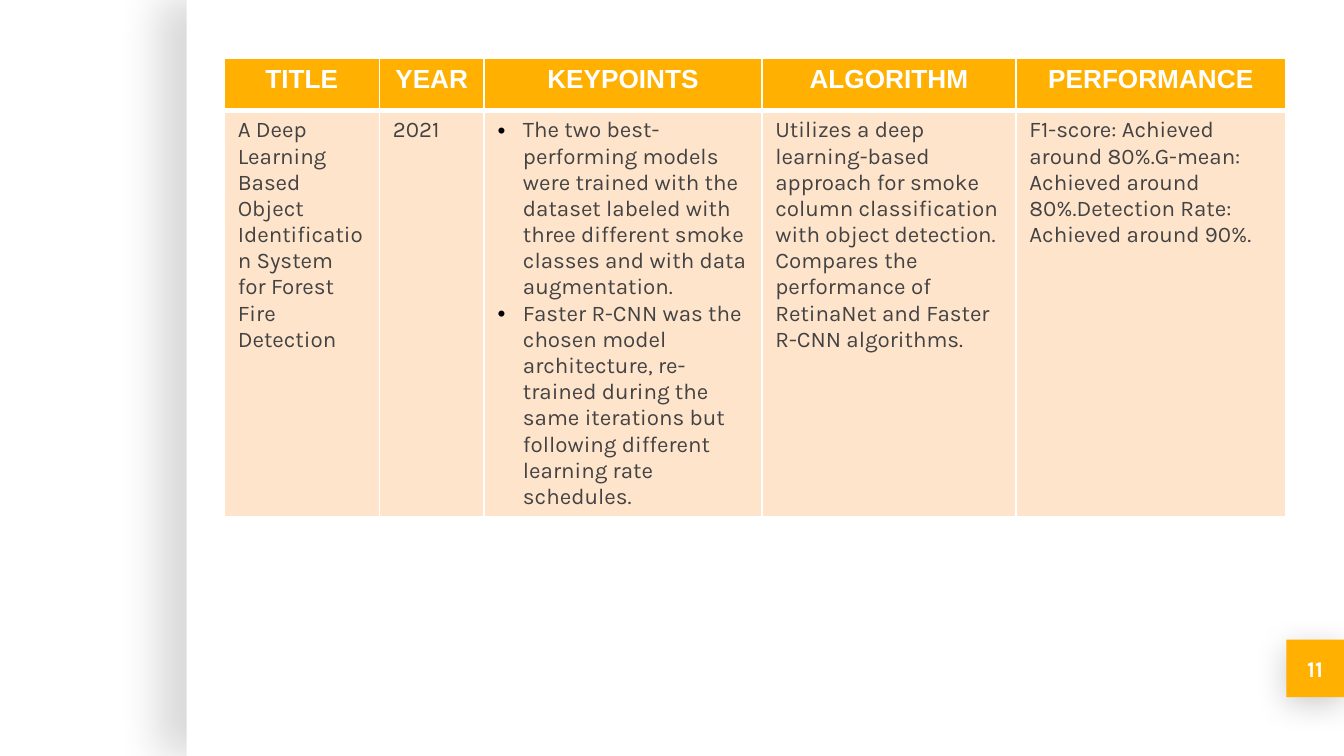
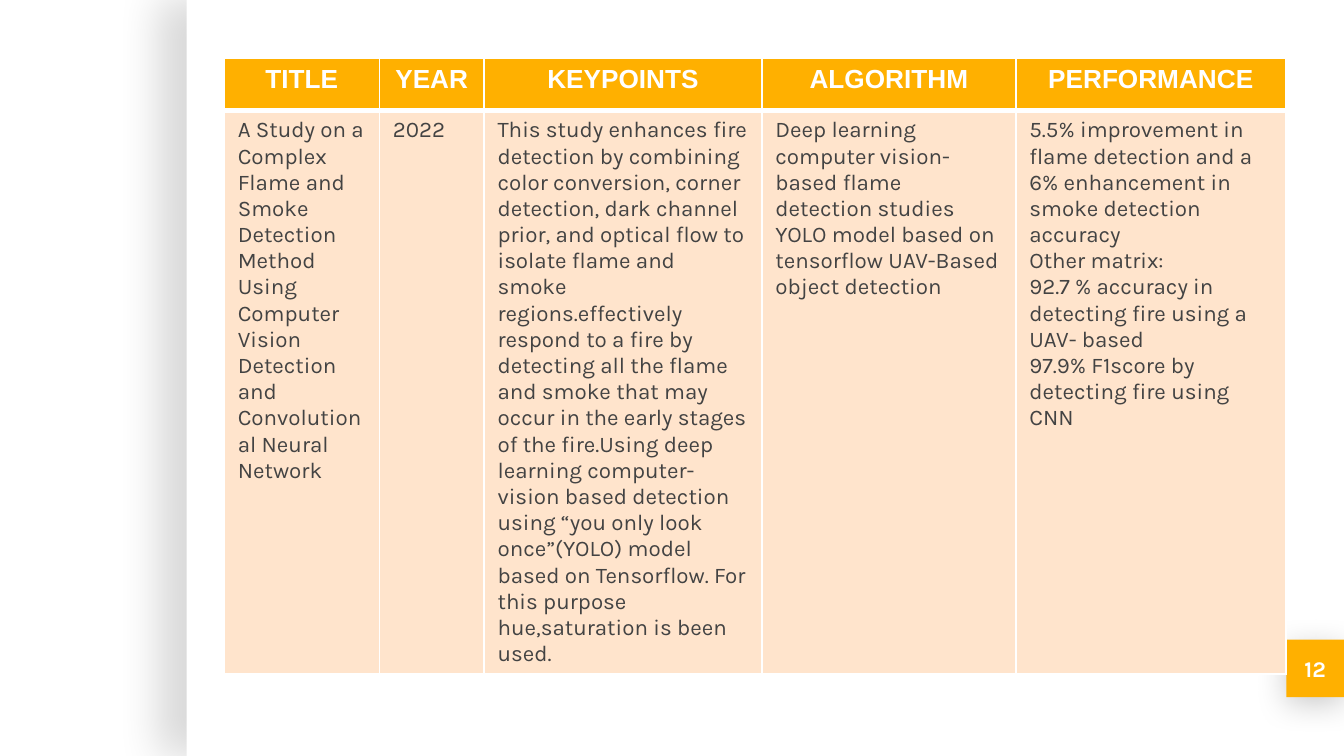
from dataclasses import dataclass

from lxml import etree
from pptx import Presentation
from pptx.dml.color import RGBColor
from pptx.enum.shapes import MSO_SHAPE
from pptx.enum.text import MSO_ANCHOR, PP_ALIGN
from pptx.oxml.ns import qn
from pptx.util import Cm, Pt

RECTANGLE = MSO_SHAPE.RECTANGLE
CENTER, LEFT = PP_ALIGN.CENTER, PP_ALIGN.LEFT
MIDDLE = MSO_ANCHOR.MIDDLE

HEADINGS = ["TITLE", "YEAR", "KEYPOINTS", "ALGORITHM", "PERFORMANCE"]

# Each study: one list of paragraphs per column, and the columns with bullets
STUDIES = [
    {
        "page": 11,
        "row_height": 7.6,
        "bulleted": ["KEYPOINTS"],
        "cells": [
            ["A Deep Learning Based Object Identification System for Forest Fire Detection"],
            ["2021"],
            ["The two best-performing models were trained with the dataset labeled with "
             "three different smoke classes and with data augmentation.",
             "Faster R-CNN was the chosen model architecture, re-trained during the same "
             "iterations but following different learning rate schedules."],
            ["Utilizes a deep learning-based approach for smoke column classification "
             "with object detection.",
             "Compares the performance of RetinaNet and Faster R-CNN algorithms."],
            ["F1-score: Achieved around 80%.G-mean: Achieved around 80%."
             "Detection Rate: Achieved around 90%."],
        ],
    },
    {
        "page": 12,
        "row_height": 10.6,
        "bulleted": [],
        "cells": [
            ["A Study on a Complex Flame and Smoke Detection Method Using Computer Vision "
             "Detection and Convolutional Neural Network"],
            ["2022"],
            ["This study enhances fire detection by combining color conversion, corner "
             "detection, dark channel prior, and optical flow to isolate flame and smoke "
             "regions.effectively respond to a fire by detecting all the flame and smoke "
             "that may occur in the early stages of the fire.Using deep learning "
             "computer-vision based detection using “you only look once”(YOLO) model based "
             "on Tensorflow. For this purpose hue,saturation is been used."],
            ["Deep learning computer vision-based flame detection studies YOLO model based "
             "on tensorflow UAV-Based object detection"],
            ["5.5% improvement in flame detection and a 6% enhancement in smoke detection "
             "accuracy",
             "Other matrix:",
             "92.7 % accuracy in detecting fire using a UAV- based",
             "97.9% F1score by detecting fire using CNN"],
        ],
    },
]


@dataclass(frozen=True)
class Theme:
    white: str = "FFFFFF"
    black: str = "000000"
    accent: str = "FFB000"
    row_tint: str = "FFE4CC"
    body_text: str = "434343"
    heading_font: str = "Arial"
    body_font: str = "Karla"
    heading_size: int = 14
    body_size: int = 12
    thin_line: int = 1
    thick_line: int = 3


THEME = Theme()

# Lengths in centimetres
SLIDE_WIDTH, SLIDE_HEIGHT = 25.4, 14.29
PANEL_LEFT = 3.53
BADGE_SIDE, BADGE_TOP = 1.09, 12.09
TABLE_LEFT, TABLE_TOP = 4.24, 1.1
COLUMN_WIDTHS = [2.93, 1.98, 5.25, 4.8, 5.1]
HEADING_HEIGHT = 0.99
BULLET_INDENT = 0.48


def paint(fill, color):
    fill.solid()
    fill.fore_color.rgb = RGBColor.from_string(color)


def add_color(parent, color):
    return etree.SubElement(parent, qn("a:srgbClr"), val=color)


def style_paragraph(paragraph, font_name, size, color, bold, align):
    paragraph.alignment = align
    font = paragraph.font
    font.name, font.size, font.bold = font_name, Pt(size), bold
    font.color.rgb = RGBColor.from_string(color)


def add_shadow(shape, opacity, blur, distance, angle):
    """Cast an outer shadow; opacity in percent, lengths in points, angle in degrees."""
    shape.shadow.inherit = False
    effects = shape._element.spPr.find(qn("a:effectLst"))
    shadow = etree.SubElement(
        effects, qn("a:outerShdw"), blurRad=str(Pt(blur)), dist=str(Pt(distance)),
        dir=str(angle * 60000), algn="bl", rotWithShape="0")
    etree.SubElement(add_color(shadow, THEME.black), qn("a:alpha"),
                     val=str(opacity * 1000))


def add_block(slide, left, top, width, height, color):
    block = slide.shapes.add_shape(RECTANGLE, Cm(left), Cm(top), Cm(width), Cm(height))
    paint(block.fill, color)
    block.line.fill.background()
    return block


def add_frame(slide, page):
    """Draw the raised white panel and the page number badge."""
    panel = add_block(slide, PANEL_LEFT, 0, SLIDE_WIDTH - PANEL_LEFT, SLIDE_HEIGHT,
                      THEME.white)
    add_shadow(panel, 15, 22.5, 15, 180)

    badge = add_block(slide, SLIDE_WIDTH - BADGE_SIDE, BADGE_TOP, BADGE_SIDE, BADGE_SIDE,
                      THEME.accent)
    add_shadow(badge, 20, 16.9, 3.8, 90)
    frame = badge.text_frame
    frame.margin_left = frame.margin_right = Cm(0.25)
    frame.margin_top = frame.margin_bottom = Cm(0.25)
    frame.vertical_anchor = MIDDLE
    frame.text = str(page)
    style_paragraph(frame.paragraphs[0], THEME.body_font, THEME.body_size,
                    THEME.white, True, CENTER)


def set_borders(cell, top, bottom):
    properties = cell._tc.get_or_add_tcPr()
    sides = {"lnL": THEME.thin_line, "lnR": THEME.thin_line, "lnT": top, "lnB": bottom}
    for side, width in sides.items():
        line = etree.SubElement(properties, qn(f"a:{side}"), w=str(Pt(width)))
        add_color(etree.SubElement(line, qn("a:solidFill")), THEME.white)


def add_bullet(paragraph):
    properties = paragraph._p.get_or_add_pPr()
    properties.set("marL", str(Cm(BULLET_INDENT)))
    properties.set("indent", str(-Cm(BULLET_INDENT)))
    bullet_parts = [etree.Element(qn("a:buClr")),
                    etree.Element(qn("a:buFont"), typeface=THEME.heading_font),
                    etree.Element(qn("a:buChar"), char="•")]
    add_color(bullet_parts[0], THEME.black)
    for position, part in enumerate(bullet_parts):
        properties.insert(position, part)


def fill_heading(cell, heading):
    set_borders(cell, THEME.thin_line, THEME.thick_line)
    paint(cell.fill, THEME.accent)
    cell.text = heading
    style_paragraph(cell.text_frame.paragraphs[0], THEME.heading_font,
                    THEME.heading_size, THEME.white, True, CENTER)


def fill_finding(cell, lines, bulleted):
    set_borders(cell, THEME.thick_line, THEME.thin_line)
    paint(cell.fill, THEME.row_tint)
    cell.text = "\n".join(lines)
    for paragraph in cell.text_frame.paragraphs:
        style_paragraph(paragraph, THEME.body_font, THEME.body_size,
                        THEME.body_text, False, LEFT)
        if bulleted:
            add_bullet(paragraph)


def add_study_table(slide, study):
    row_heights = [HEADING_HEIGHT, study["row_height"]]
    table = slide.shapes.add_table(
        len(row_heights), len(HEADINGS), Cm(TABLE_LEFT), Cm(TABLE_TOP),
        Cm(sum(COLUMN_WIDTHS)), Cm(sum(row_heights))).table
    table.horz_banding = False
    for row, height in zip(table.rows, row_heights):
        row.height = Cm(height)
    for index, (heading, lines) in enumerate(zip(HEADINGS, study["cells"])):
        table.columns[index].width = Cm(COLUMN_WIDTHS[index])
        fill_heading(table.cell(0, index), heading)
        fill_finding(table.cell(1, index), lines, heading in study["bulleted"])


def main():
    deck = Presentation()
    deck.slide_width, deck.slide_height = Cm(SLIDE_WIDTH), Cm(SLIDE_HEIGHT)
    blank = deck.slide_layouts[6]
    for study in STUDIES:
        slide = deck.slides.add_slide(blank)
        paint(slide.background.fill, THEME.white)
        add_frame(slide, study["page"])
        add_study_table(slide, study)
    deck.save("out.pptx")


if __name__ == "__main__":
    main()
